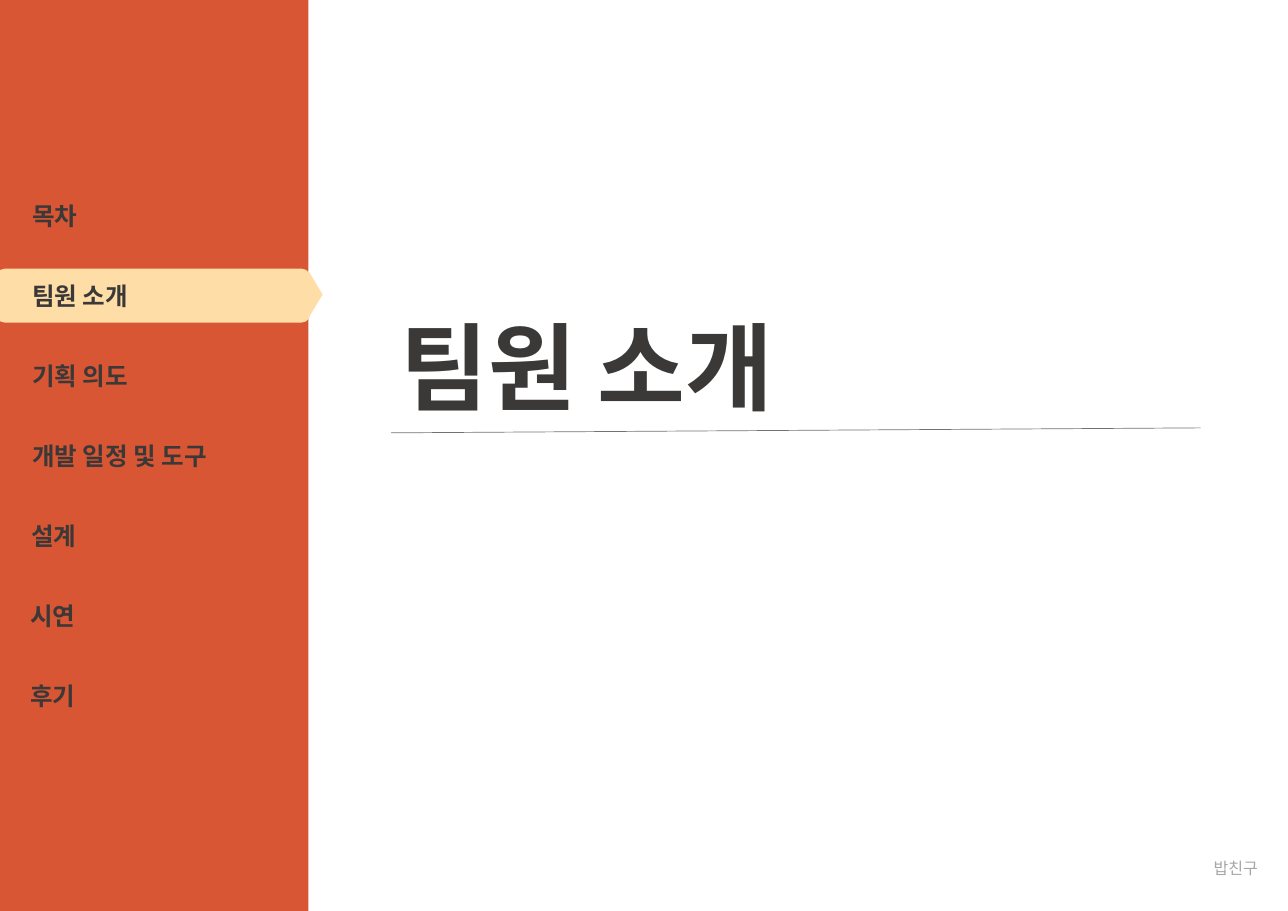
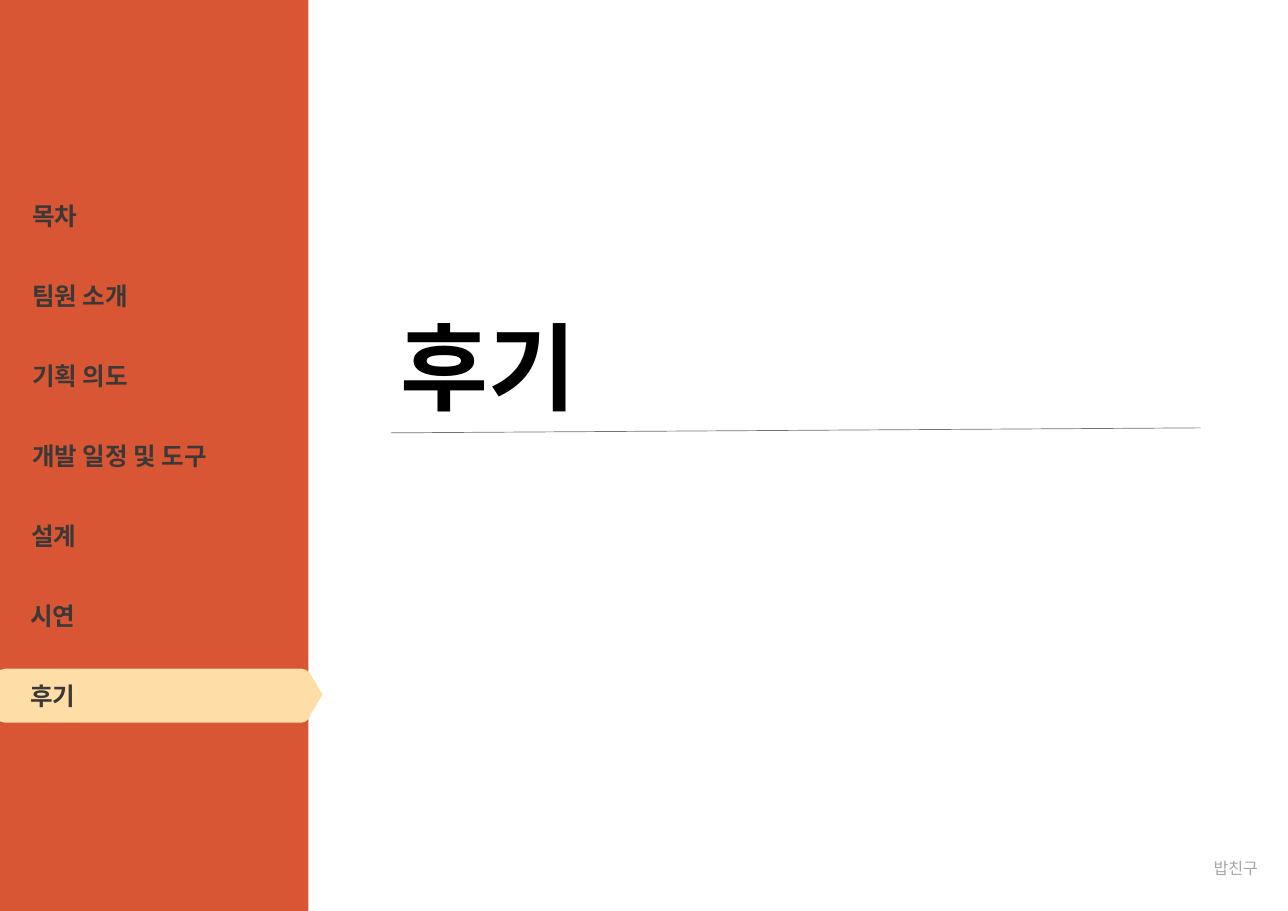
import pptx
import pptx.dml.color
import pptx.enum.shapes
import pptx.enum.text
import pptx.oxml.ns
import pptx.util
from lxml import etree

Cm = pptx.util.Cm
RGBColor = pptx.dml.color.RGBColor
MSO_SHAPE = pptx.enum.shapes.MSO_SHAPE
MSO_ANCHOR = pptx.enum.text.MSO_ANCHOR
MSO_AUTO_SIZE = pptx.enum.text.MSO_AUTO_SIZE
PP_ALIGN = pptx.enum.text.PP_ALIGN
qn = pptx.oxml.ns.qn

ORANGE = RGBColor(0xD8, 0x56, 0x33)
CREAM = RGBColor(0xFF, 0xDD, 0xA7)
DARK = RGBColor(0x3B, 0x38, 0x38)
BLACK = RGBColor(0x00, 0x00, 0x00)
RULE_GRAY = RGBColor(0x76, 0x71, 0x71)
FOOTER_GRAY = RGBColor(0xA6, 0xA6, 0xA6)
FONT = "Noto Sans CJK KR"

# text, left and width in cm
MENU = [
    ("목차", 0.58, 5.08),
    ("팀원 소개", 0.58, 5.08),
    ("기획 의도", 0.58, 3.43),
    ("개발 일정 및 도구", 0.58, 5.72),
    ("설계", 0.56, 3.33),
    ("시연", 0.53, 3.33),
    ("후기", 0.53, 3.33),
]
MENU_TOP, MENU_STEP = 5.08, 2.07

# active menu item, title width in cm, title colour
SECTIONS = [(1, 12.9, DARK), (6, 10.8, BLACK)]


def set_text(sp, text, size, color, bold=False, align=PP_ALIGN.LEFT,
             anchor=MSO_ANCHOR.TOP, auto_size=MSO_AUTO_SIZE.SHAPE_TO_FIT_TEXT):
    tf = sp.text_frame
    tf.text = text
    tf.word_wrap = True
    tf.auto_size = auto_size
    tf.vertical_anchor = anchor
    p = tf.paragraphs[0]
    p.alignment = align
    font = p.runs[0].font
    font.name, font.size, font.bold = FONT, pptx.util.Pt(size), bold
    font.color.rgb = color
    ea = etree.SubElement(p.runs[0]._r.get_or_add_rPr(), qn("a:ea"))
    ea.set("typeface", FONT)


def add_filled(shapes, kind, left, top, width, height, color):
    """Add a preset shape with a plain fill, no outline and no shadow; lengths in cm."""
    sp = shapes.add_shape(kind, Cm(left), Cm(top), Cm(width), Cm(height))
    sp.shadow.inherit = False
    sp.fill.solid()
    sp.fill.fore_color.rgb = color
    sp.line.fill.background()
    return sp


prs = pptx.Presentation()
prs.slide_width, prs.slide_height = Cm(33.32), Cm(23.57)

for active, title_width, title_color in SECTIONS:
    s = prs.slides.add_slide(prs.slide_layouts.get_by_name("Title Only"))

    # Side band and rule under the title
    add_filled(s.shapes, MSO_SHAPE.RECTANGLE, -0.05, 0, 8.03, 23.57, ORANGE)
    rule = s.shapes.add_connector(pptx.enum.shapes.MSO_CONNECTOR.STRAIGHT,
                                  Cm(10.11), Cm(11.2), Cm(31.06), Cm(11.07))
    rule.line.color.rgb = RULE_GRAY
    rule.line.width = pptx.util.Pt(0.5)
    etree.SubElement(rule._element.spPr, qn("a:effectLst"))

    # Title and footer
    title = s.shapes.title
    title.left, title.top = Cm(10.11), Cm(7.85)
    title.width, title.height = Cm(title_width), Cm(3.25)
    set_text(title, MENU[active][0], 70, title_color, bold=True)
    footer = s.shapes.add_textbox(Cm(21.54), Cm(21.84), Cm(11.25), Cm(1.24))
    set_text(footer, "밥친구", 11.8, FOOTER_GRAY, align=PP_ALIGN.RIGHT,
             anchor=MSO_ANCHOR.MIDDLE, auto_size=MSO_AUTO_SIZE.NONE)

    # Marker behind the active menu item
    active_top = MENU_TOP + active * MENU_STEP
    marker = s.shapes.add_group_shape().shapes
    add_filled(marker, MSO_SHAPE.ROUNDED_RECTANGLE, -0.1, active_top - 0.2, 8.13, 1.4, CREAM)
    tip = add_filled(marker, MSO_SHAPE.ISOSCELES_TRIANGLE,
                     7.52, active_top + 0.28, 1.27, 0.38, CREAM)
    tip.rotation = 90

    # Menu
    menu = s.shapes.add_group_shape().shapes
    for i, (text, left, width) in enumerate(MENU):
        item = menu.add_textbox(Cm(left), Cm(MENU_TOP + i * MENU_STEP), Cm(width), Cm(1.02))
        set_text(item, text, 18, DARK, bold=True)

prs.save("out.pptx")
